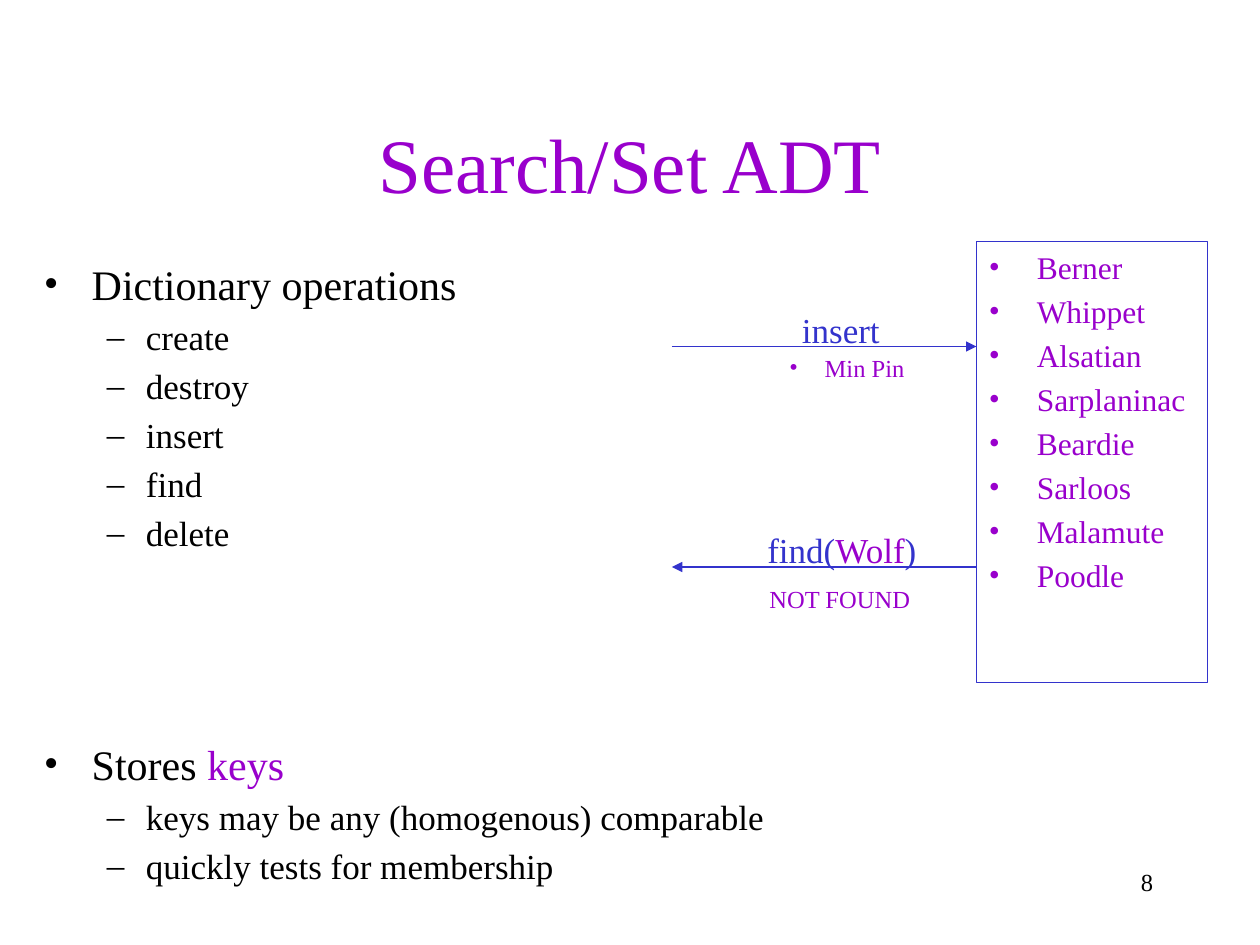
from collections import namedtuple

from lxml.etree import SubElement
from pptx import Presentation
from pptx.dml.color import RGBColor
from pptx.enum.shapes import MSO_CONNECTOR, MSO_SHAPE
from pptx.enum.text import MSO_ANCHOR, PP_ALIGN
from pptx.oxml.ns import qn
from pptx.util import Inches, Pt

Box = namedtuple("Box", "left top width height")
COLORS = {"key": "9900CC", "call": "3333CC", "body": "000000"}
FONT = "Times New Roman"
UNIT = Inches(10) / 120
TOPIC = {"size": 24, "mark": "•", "indent": 0.38, "hang": 0.38, "before": 20}
DETAIL = {"size": 20, "mark": "–", "indent": 0.81, "hang": 0.31, "before": 20}
BREED = {**TOPIC, "size": 18}
INSERTED = {**TOPIC, "size": 14, "indent": 0.28, "hang": 0.28, "before": 0}


def grid(*counts):
    """Turn counts of grid units into slide lengths."""
    return [round(count * UNIT) for count in counts]


def color(name):
    """Look up a named colour."""
    return RGBColor.from_string(COLORS[name])


def add_bullet(paragraph, style):
    """Give a paragraph its mark, hanging indent and spacing."""
    props = paragraph._p.get_or_add_pPr()
    props.set("marL", str(Inches(style["indent"])))
    props.set("indent", str(-Inches(style["hang"])))
    spacing = SubElement(props, qn("a:spcBef"))
    SubElement(spacing, qn("a:spcPct"), val=str(style["before"] * 1000))
    SubElement(props, qn("a:buFont"), typeface=FONT)
    SubElement(props, qn("a:buChar"), char=style["mark"])


def write(frame, lines, align=PP_ALIGN.LEFT, **layout):
    """Fill a frame with lines, each a style and its coloured runs."""
    for name, value in {"word_wrap": True, "vertical_anchor": MSO_ANCHOR.TOP, **layout}.items():
        setattr(frame, name, value)
    for index, (style, parts) in enumerate(lines):
        paragraph = frame.add_paragraph() if index else frame.paragraphs[0]
        paragraph.alignment = align
        if "mark" in style:
            add_bullet(paragraph, style)
        for words, tint in parts:
            run = paragraph.add_run()
            run.text = words
            for name, value in {"name": FONT, "size": Pt(style["size"])}.items():
                setattr(run.font, name, value)
            run.font.color.rgb = color(tint)


def add_text(slide, box, lines, **layout):
    """Place a text box."""
    write(slide.shapes.add_textbox(*grid(*box)).text_frame, lines, **layout)


def add_topic(slide, box, heading, details):
    """Place a bulleted heading with its dashed details."""
    lines = [(TOPIC, heading)] + [(DETAIL, [(detail, "body")]) for detail in details]
    add_text(slide, box, lines)


def add_dictionary(slide, box, breeds):
    """Place the outlined set of stored keys."""
    store = slide.shapes.add_shape(MSO_SHAPE.RECTANGLE, *grid(*box))
    store.shadow.inherit = False
    store.fill.background()
    store.line.color.rgb = color("call")
    store.line.width = Pt(1)
    write(store.text_frame, [(BREED, [(breed, "key")]) for breed in breeds])


def add_call(slide, box, call, call_span, result, result_span, inward):
    """Place an arrow at the box's middle, the call above and the result below."""
    middle = box.top + box.height / 2
    ends = [box.left, box.left + box.width]
    start, end = ends if inward else reversed(ends)
    arrow = slide.shapes.add_connector(MSO_CONNECTOR.STRAIGHT, *grid(start, middle, end, middle))
    arrow.line.color.rgb = color("call")
    arrow.line.width = Pt(0.75)
    SubElement(arrow.line._get_or_add_ln(), qn("a:tailEnd"), type="triangle")
    SubElement(arrow._element.spPr, qn("a:effectLst"))
    for (style, parts), (offset, width), top, height in (
        (call, call_span, middle - 4.25, 5.2),
        (result, result_span, middle + (0 if inward else 1), 4),
    ):
        label = Box(box.left + offset, top, width, height)
        add_text(slide, label, [(style, parts)], word_wrap="mark" in style)


def main():
    """Build the slide."""
    deck = Presentation()
    deck.slide_width, deck.slide_height = grid(120, 90)
    slide = deck.slides.add_slide(deck.slide_layouts[6])
    add_text(slide, Box(9, 8, 102, 15), [({"size": 44}, [("Search/Set ADT", "key")])],
             align=PP_ALIGN.CENTER, vertical_anchor=MSO_ANCHOR.MIDDLE)
    add_topic(slide, Box(3, 24, 91, 30), [("Dictionary operations", "body")],
              ["create", "destroy", "insert", "find", "delete"])
    add_topic(slide, Box(3, 69.7, 91, 16), [("Stores ", "body"), ("keys", "key")],
              ["keys may be any (homogenous) comparable", "quickly tests for membership"])
    add_dictionary(slide, Box(93, 23, 22, 42),
                   ["Berner", "Whippet", "Alsatian", "Sarplaninac",
                    "Beardie", "Sarloos", "Malamute", "Poodle"])
    add_call(slide, Box(64, 28, 29, 10),
             ({"size": 20}, [("insert", "call")]), (11.2, 9.8),
             (INSERTED, [("Min Pin", "key")]), (10, 16), inward=True)
    add_call(slide, Box(64, 49, 29, 10),
             ({"size": 20}, [("find(", "call"), ("Wolf", "key"), (")", "call")]), (7.9, 16.8),
             ({"size": 14}, [("NOT FOUND", "key")]), (8.1, 15.8), inward=False)
    add_text(slide, Box(86, 82, 25, 6), [({"size": 14}, [("8", "body")])], align=PP_ALIGN.RIGHT)
    deck.save("out.pptx")


if __name__ == "__main__":
    main()
